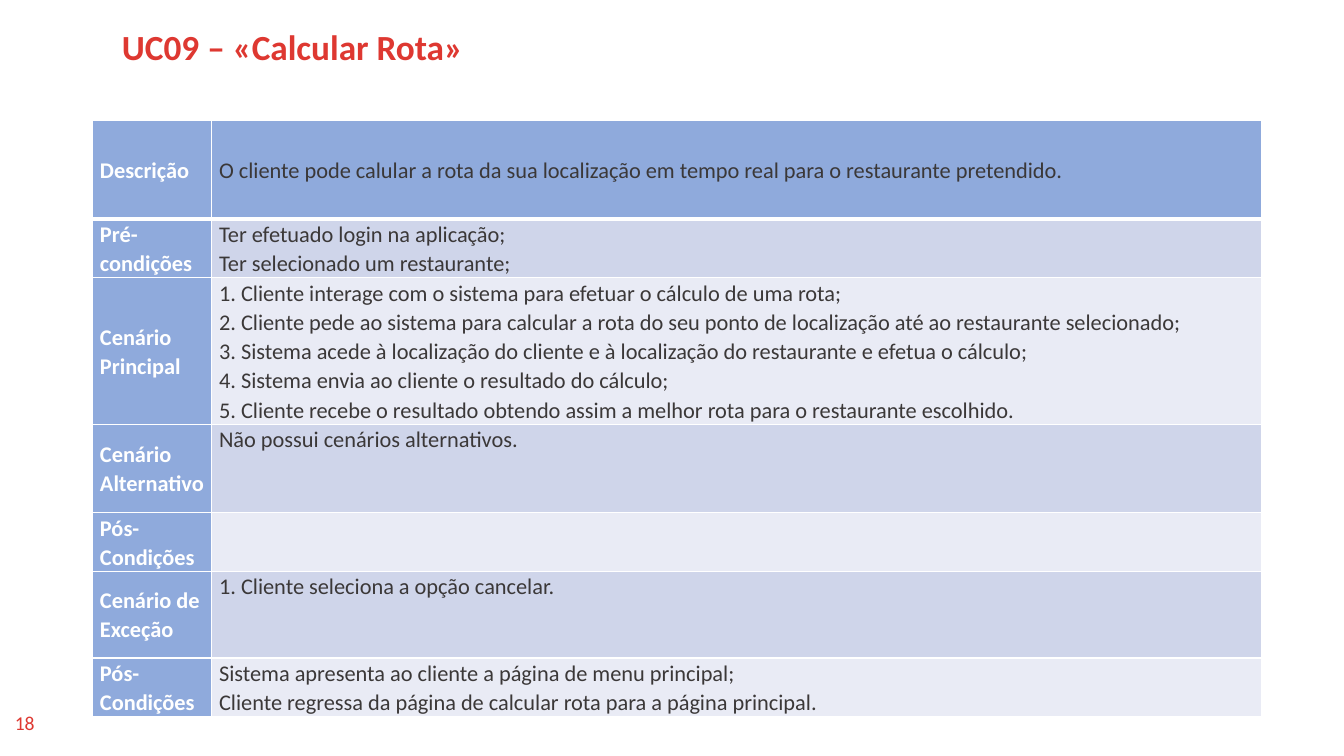
from lxml import etree
from pptx import Presentation
from pptx.dml.color import RGBColor
from pptx.enum import text
from pptx.oxml import ns
from pptx.util import Cm, Pt

RED = RGBColor(0xDE, 0x38, 0x31)
WHITE = RGBColor(0xFF, 0xFF, 0xFF)
CHARCOAL = RGBColor(0x3B, 0x38, 0x38)
BLUE = RGBColor(0x8F, 0xAA, 0xDC)
BAND_DARK = RGBColor(0xCF, 0xD5, 0xEA)
BAND_LIGHT = RGBColor(0xE9, 0xEB, 0xF5)

# Label, content, row height in cm
USE_CASE = [
    ("Descrição",
     "O cliente pode calular a rota da sua localização em tempo real para o restaurante pretendido.",
     2.48),
    ("Pré-condições",
     "Ter efetuado login na aplicação;\n"
     "Ter selecionado um restaurante;", 1.48),
    ("Cenário Principal",
     "1. Cliente interage com o sistema para efetuar o cálculo de uma rota;\n"
     "2. Cliente pede ao sistema para calcular a rota do seu ponto de localização até ao restaurante selecionado;\n"
     "3. Sistema acede à localização do cliente e à localização do restaurante e efetua o cálculo;\n"
     "4. Sistema envia ao cliente o resultado do cálculo;\n"
     "5. Cliente recebe o resultado obtendo assim a melhor rota para o restaurante escolhido.",
     3.7),
    ("Cenário Alternativo", "Não possui cenários alternativos.", 2.22),
    ("Pós-Condições", "", 1.48),
    ("Cenário de Exceção", "1. Cliente seleciona a opção cancelar.", 2.18),
    ("Pós-Condições",
     "Sistema apresenta ao cliente a página de menu principal;\n"
     "Cliente regressa da página de calcular rota para a página principal.", 1.48),
]


class UseCaseSlide:
    font_name = "Calibri"
    body_size = 16

    def __init__(self, prs):
        self.slide = prs.slides.add_slide(prs.slide_layouts[0])
        subtitle = self.slide.placeholders[1].element
        subtitle.getparent().remove(subtitle)

    def fill_text(self, frame, content, size, color, bold=False,
                  align=text.PP_ALIGN.LEFT, spacing=1.0):
        frame.text = content
        for paragraph in frame.paragraphs:
            paragraph.alignment = align
            paragraph.line_spacing = spacing
            for font in [paragraph.font] + [run.font for run in paragraph.runs]:
                font.name = self.font_name
                font.size = Pt(size)
                font.bold = bold
                font.color.rgb = color

    def title(self, content, left, top, width, height):
        title = self.slide.shapes.title
        title.left, title.top, title.width, title.height = map(Cm, (left, top, width, height))
        frame = title.text_frame
        self.fill_text(frame, content, 25.2, RED, bold=True, spacing=0.9)
        frame.auto_size = text.MSO_AUTO_SIZE.NONE
        frame.vertical_anchor = text.MSO_ANCHOR.TOP

    def page_number(self, number, left, top, width, height):
        box = self.slide.shapes.add_textbox(*map(Cm, (left, top, width, height)))
        frame = box.text_frame
        frame.word_wrap = True
        frame.vertical_anchor = text.MSO_ANCHOR.MIDDLE
        self.fill_text(frame, number, 14, RED, align=text.PP_ALIGN.CENTER)

    def borders(self, cell, top, bottom):
        properties = cell._tc.get_or_add_tcPr()
        for side, width in (("L", 1), ("R", 1), ("T", top), ("B", bottom)):
            line = etree.SubElement(properties, ns.qn(f"a:ln{side}"), w=str(Pt(width)))
            fill = etree.SubElement(line, ns.qn("a:solidFill"))
            etree.SubElement(fill, ns.qn("a:srgbClr"), val=str(WHITE))

    def cell(self, cell, content, fill, color, row, **style):
        self.borders(cell, top=3 if row == 1 else 1, bottom=3 if row == 0 else 1)
        cell.fill.solid()
        cell.fill.fore_color.rgb = fill
        cell.margin_left = cell.margin_right = Cm(0.18)
        cell.margin_top = cell.margin_bottom = 0
        self.fill_text(cell.text_frame, content, self.body_size, color, spacing=1.07, **style)

    def table(self, rows, left, top, widths):
        height = sum(row_height for *_, row_height in rows)
        table = self.slide.shapes.add_table(
            len(rows), len(widths), Cm(left), Cm(top), Cm(sum(widths)), Cm(height)).table
        table.first_row = table.horz_banding = False
        for column, width in zip(table.columns, widths):
            column.width = Cm(width)
        for i, (label, content, row_height) in enumerate(rows):
            table.rows[i].height = Cm(row_height)
            label_cell, content_cell = table.cell(i, 0), table.cell(i, 1)
            band = BLUE if i == 0 else BAND_DARK if i % 2 else BAND_LIGHT
            self.cell(label_cell, label, BLUE, WHITE, i, bold=True)
            self.cell(content_cell, content, band, CHARCOAL, i, align=text.PP_ALIGN.JUSTIFY)
            label_cell.vertical_anchor = text.MSO_ANCHOR.MIDDLE
            content_cell.vertical_anchor = text.MSO_ANCHOR.TOP if i else text.MSO_ANCHOR.MIDDLE


def main():
    prs = Presentation()
    prs.slide_width, prs.slide_height = Cm(33.87), Cm(19.05)
    page = UseCaseSlide(prs)

    # Heading
    page.title("UC09 – «Calcular Rota»", 2.82, 0.64, 26.44, 1.14)
    # Use case description
    page.table(USE_CASE, 2.34, 3.04, (3, 26.45))
    # Footer
    page.page_number("18", 0.03, 17.7, 1.19, 1.02)

    prs.save("out.pptx")


if __name__ == "__main__":
    main()
